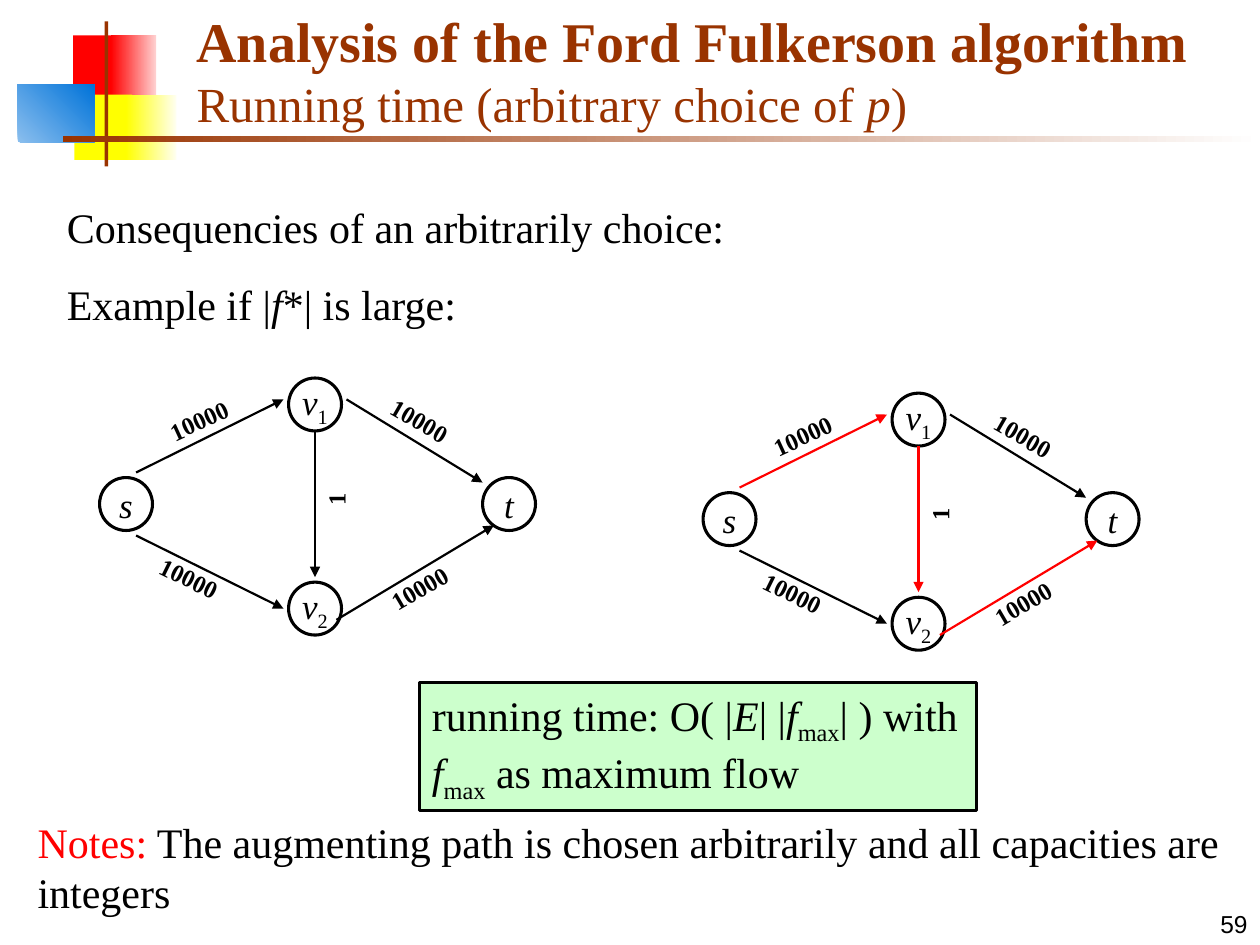
from lxml import etree
from pptx import Presentation
from pptx import util as u
from pptx.dml.color import RGBColor
from pptx.enum import shapes, text
from pptx.oxml.ns import qn

SERIF = "Times New Roman"
BROWN, RED, YELLOW, BLACK, WHITE = "993300", "FF0000", "FFFF00", "000000", "FFFFFF"

# Network layout in inches, measured from the centre of node s
NODE_SIZE = 0.42
NODES = [("s", "", 0, 0), ("v", "1", 1.5, -0.79), ("v", "2", 1.5, 0.83), ("t", "", 3.04, 0)]
# name: start, end, label, label centre, label width, label rotation
EDGES = {
    "v1-t": ((1.75, -0.83), (2.83, -0.17), "10000", (2.33, -0.66), 1, 29.9),
    "s-v2": ((0.08, 0.25), (1.25, 0.83), "10000", (0.5, 0.59), 1, 26.2),
    "s-v1": ((0.08, -0.25), (1.25, -0.83), "10000", (0.58, -0.66), 1, -24.6),
    "v2-t": ((1.67, 0.92), (2.92, 0.17), "10000", (2.33, 0.67), 1, -30.5),
    "v1-v2": ((1.5, -0.58), (1.5, 0.58), "1", (1.67, -0.04), 0.42, -90),
}


def colour(code):
    return RGBColor.from_string(code)


def place(box, left, top, width, height):
    box.left, box.top = u.Inches(left), u.Inches(top)
    box.width, box.height = u.Inches(width), u.Inches(height)


def write(para, parts, size, code=BLACK, font=SERIF, align=text.PP_ALIGN.LEFT, before=0):
    """Fill a paragraph; each part is (words, style): i italic, b bold, _ subscript, r red."""
    para.alignment, para.space_before = align, u.Pt(before)
    for words, style in parts:
        span = para.add_run()
        span.text = words
        span.font.name, span.font.size = font, u.Pt(size)
        span.font.bold, span.font.italic = "b" in style, "i" in style
        span.font.color.rgb = colour(RED if "r" in style else code)
        if "_" in style:
            span.font._element.set("baseline", "-25000")


def prepare(box, wrap=True, anchor=text.MSO_ANCHOR.TOP):
    frame = box.text_frame
    frame.word_wrap, frame.vertical_anchor = wrap, anchor
    frame.auto_size = text.MSO_AUTO_SIZE.NONE
    return frame


def add_text(page, area, parts, size, anchor=text.MSO_ANCHOR.TOP, **style):
    box = page.shapes.add_textbox(*map(u.Inches, area))
    write(prepare(box, anchor=anchor).paragraphs[0], parts, size, **style)
    return box


def add_block(page, kind, area, fill, line=None, angle=0):
    """Add a shape; a pair of fill colours makes a gradient."""
    block = page.shapes.add_shape(kind, *map(u.Inches, area))
    block.shadow.inherit = False
    if isinstance(fill, tuple):
        block.fill.gradient()
        block.fill.gradient_angle = angle
        for stop, code in zip(block.fill.gradient_stops, fill):
            stop.color.rgb = colour(code)
    else:
        block.fill.solid()
        block.fill.fore_color.rgb = colour(fill)
    if line:
        block.line.color.rgb, block.line.width = colour(line), u.Pt(1.75)
    else:
        block.line.fill.background()
    return block


def add_arrow(page, start, end, code):
    arrow = page.shapes.add_connector(
        shapes.MSO_CONNECTOR.STRAIGHT, *map(u.Inches, (*start, *end)))
    arrow.line.color.rgb, arrow.line.width = colour(code), u.Pt(1.25)
    etree.SubElement(arrow.line._get_or_add_ln(), qn("a:tailEnd"), type="triangle")
    etree.SubElement(arrow._element.spPr, qn("a:effectLst"))


def add_network(page, x, y, highlighted=()):
    """Draw the flow network with node s centred at (x, y)."""
    for name, index, dx, dy in NODES:
        area = (x + dx - NODE_SIZE / 2, y + dy - NODE_SIZE / 2, NODE_SIZE, NODE_SIZE)
        node = add_block(page, shapes.MSO_SHAPE.OVAL, area, WHITE, BLACK)
        frame = prepare(node, wrap=False, anchor=text.MSO_ANCHOR.MIDDLE)
        parts = [(name, "i")] + ([(index, "_")] if index else [])
        write(frame.paragraphs[0], parts, 20, align=text.PP_ALIGN.CENTER)
    for name, (start, end, label, (dx, dy), width, turn) in EDGES.items():
        add_arrow(page, (x + start[0], y + start[1]), (x + end[0], y + end[1]),
                  RED if name in highlighted else BLACK)
        box = add_text(page, (x + dx - width / 2, y + dy - 0.17, width, 0.34),
                       [(label, "b")], 14, align=text.PP_ALIGN.CENTER)
        box.rotation = turn


def add_decoration(page):
    square = shapes.MSO_SHAPE.RECTANGLE
    for area, fill, angle in [
        ((0.58, 0.28, 0.35, 0.52), RED, 0),
        ((0.88, 0.28, 0.36, 0.52), (RED, "FFD1D1"), 0),
        ((0.59, 0.75, 0.46, 0.52), YELLOW, 0),
        ((1, 0.75, 0.4, 0.52), (YELLOW, "FFFFF0"), 0),
        ((0.14, 0.67, 0.61, 0.46), ("8BBFEE", "0073D9"), 45),
        ((0.83, 0.17, 0.03, 1.15), BROWN, 0),
        ((0.5, 1.08, 9.5, 0.05), (BROWN, WHITE), 0),
    ]:
        add_block(page, square, area, fill, angle=angle)


def fill_title(title):
    place(title, 1.46, 0, 8.35, 1.1)
    para = prepare(title).paragraphs[0]
    write(para, [("Analysis of the Ford Fulkerson algorithm", "b")], 32, BROWN)
    para.add_line_break()
    write(para, [("Running time (arbitrary choice of ", ""), ("p", "i"), (")", "")], 28, BROWN)


def fill_body(body):
    place(body, 0.43, 1.55, 5.59, 1.11)
    frame = prepare(body)
    lines = [
        [("Consequencies of an arbitrarily choice:", "")],
        [("Example if |", ""), ("f", "i"), ("*| is large:", "")],
    ]
    for row, parts in enumerate(lines):
        para = frame.add_paragraph() if row else frame.paragraphs[0]
        write(para, parts, 24, before=15 * row)
        props = para._p.get_or_add_pPr()
        props.set("marL", "0")
        props.set("indent", "0")
        etree.SubElement(props, qn("a:buNone"))


def main():
    deck = Presentation()
    deck.slide_width, deck.slide_height = u.Inches(10), u.Inches(7.5)
    page = deck.slides.add_slide(deck.slide_layouts[1])

    # Heading and introduction
    add_decoration(page)
    fill_title(page.shapes.title)
    fill_body(page.placeholders[1])

    # The network, and the same network with the augmenting path in red
    add_network(page, 1, 4)
    add_network(page, 5.79, 4.12, highlighted=("s-v1", "v1-v2", "v2-t"))

    # Result
    result = add_block(page, shapes.MSO_SHAPE.RECTANGLE, (3.33, 5.42, 4.42, 1.01),
                       "CCFFCC", BLACK)
    flow = [("f", "i"), ("max", "_")]
    write(prepare(result).paragraphs[0],
          [("running time: O( |", ""), ("E", "i"), ("| |", ""), *flow,
           ("| ) with ", ""), *flow, (" as maximum flow", "")], 24)

    # Notes and page number
    add_text(page, (0.2, 6.43, 9.8, 0.9), [
        ("Notes:", "r"),
        (" The augmenting path is chosen arbitrarily and all capacities are integers", ""),
    ], 24)
    add_text(page, (7.92, 7, 2.08, 0.5), [("59", "")], 14, font="Arial",
             anchor=text.MSO_ANCHOR.BOTTOM, align=text.PP_ALIGN.RIGHT)

    deck.save("out.pptx")


if __name__ == "__main__":
    main()
